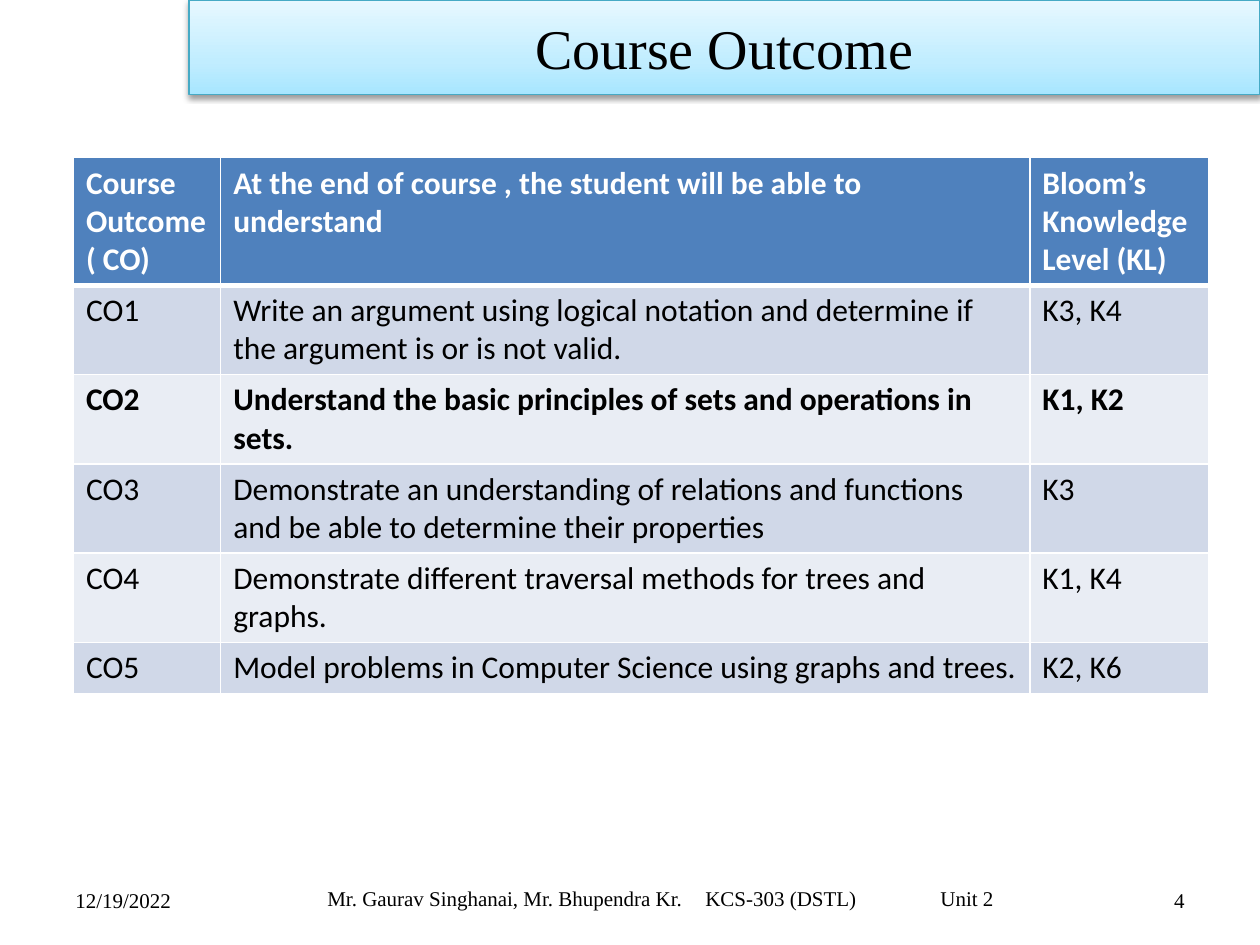
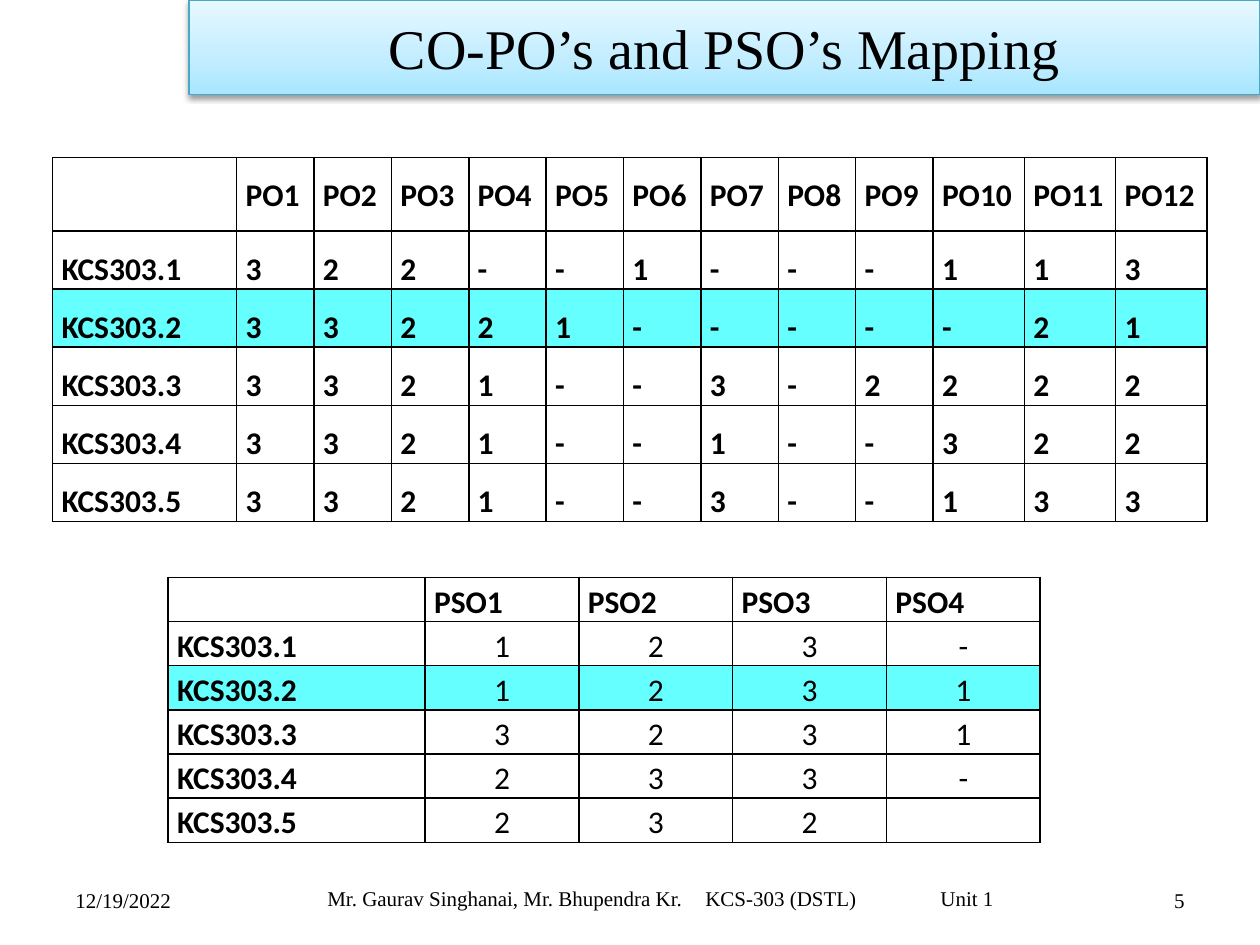
from pptx import Presentation
from pptx import util as u
from pptx.dml.color import RGBColor
from pptx.enum import shapes, text
from pptx.oxml import parse_xml
from pptx.oxml.ns import nsdecls, qn

Cm, Pt = u.Cm, u.Pt
ALIGN, ANCHOR = text.PP_ALIGN, text.MSO_ANCHOR

SERIF, SANS = "Times New Roman", "Calibri"
BLACK, WHITE = "000000", "FFFFFF"
HEADER_BLUE, BAND_DARK, BAND_LIGHT = "4F81BD", "D0D8E8", "E9EDF4"
HIGHLIGHT = "66FFFF"
TITLE_LINE = "46AAC5"
TITLE_STOPS = [(0, "A7E6FF"), (35, "C1EDFF"), (100, "E7F8FF")]
FOOTER_TABS = (7.62, 12.36)
DATE = "12/19/2022"
AUTHORS, COURSE = "Mr. Gaurav Singhanai, Mr. Bhupendra Kr.", "KCS-303 (DSTL)"

OUTCOMES = [
    ("Course Outcome ( CO)",
     "At the end of course , the student will be able to understand",
     "Bloom’s Knowledge Level (KL)"),
    ("CO1", "Write an argument using logical notation and determine if the "
     "argument is or is not valid.", "K3, K4"),
    ("CO2", "Understand the basic principles of sets and operations in sets.",
     "K1, K2"),
    ("CO3", "Demonstrate an understanding of relations and functions and be "
     "able to determine their properties", "K3"),
    ("CO4", "Demonstrate different traversal methods for trees and graphs.",
     "K1, K4"),
    ("CO5", "Model problems in Computer Science using graphs and trees.",
     "K2, K6"),
]
PO_LEVELS = ["322--1---113", "33221-----21", "3321--3-2222",
             "3321--1--322", "3321--3--133"]
PSO_LEVELS = ["123-", "1231", "3231", "233-", "232 "]


def rgb(value):
    return RGBColor.from_string(value)


def mapping(prefix, levels):
    """Rows of a mapping table, one character of each string per cell."""
    header = [""] + [f"{prefix}{n}" for n in range(1, len(levels[0]) + 1)]
    body = [[f"KCS303.{n}"] + [level.strip() for level in row]
            for n, row in enumerate(levels, 1)]
    return [header] + body


class Deck:
    def __init__(self):
        self.prs = Presentation()
        self.prs.slide_width, self.prs.slide_height = Cm(25.4), Cm(19.05)
        self.s = None

    def put_text(self, tf, content, size, font=SERIF, color=BLACK, bold=False,
                 align=ALIGN.LEFT):
        p = tf.paragraphs[0]
        p.text = content
        p.alignment = align
        for r in p.runs:
            r.font.size, r.font.name, r.font.bold = Pt(size), font, bold
            r.font.color.rgb = rgb(color)
        return p

    def label(self, x, y, w, content, align=ALIGN.LEFT):
        tf = self.s.shapes.add_textbox(Cm(x), Cm(y), Cm(w), Cm(1.01)).text_frame
        tf.word_wrap = True
        tf.vertical_anchor = ANCHOR.MIDDLE
        self.put_text(tf, content, 12, align=align)
        return tf

    def title(self, content):
        sp = self.s.shapes.add_shape(shapes.MSO_SHAPE.RECTANGLE,
                                     Cm(3.81), 0, Cm(21.59), Cm(1.91))
        sp.fill.gradient()
        sp.fill.gradient_angle = 90
        stops = "".join(f'<a:gs pos="{pos * 1000}"><a:srgbClr val="{c}"/></a:gs>'
                        for pos, c in TITLE_STOPS)
        grad = sp._element.spPr.find(qn("a:gradFill"))
        grad.replace(grad.find(qn("a:gsLst")),
                     parse_xml(f'<a:gsLst {nsdecls("a")}>{stops}</a:gsLst>'))
        sp.line.color.rgb, sp.line.width = rgb(TITLE_LINE), Pt(0.75)
        sp.shadow.inherit = False
        sp._element.spPr.find(qn("a:effectLst")).append(parse_xml(
            f'<a:outerShdw {nsdecls("a")} blurRad="40000" dist="20000" '
            f'dir="5400000" rotWithShape="0"><a:srgbClr val="{BLACK}">'
            '<a:alpha val="38000"/></a:srgbClr></a:outerShdw>'))
        sp.text_frame.vertical_anchor = ANCHOR.MIDDLE
        self.put_text(sp.text_frame, content, 32, align=ALIGN.CENTER)

    def footer(self, unit):
        tf = self.label(6.35, 17.6, 13.97, f"{AUTHORS}\t{COURSE}\t{unit}")
        tf.margin_right = 0
        stops = "".join(f'<a:tab pos="{Cm(x)}" algn="l"/>' for x in FOOTER_TABS)
        tf.paragraphs[0]._p.get_or_add_pPr().append(
            parse_xml(f'<a:tabLst {nsdecls("a")}>{stops}</a:tabLst>'))

    def slide(self, title, unit, number):
        self.s = self.prs.slides.add_slide(self.prs.slide_layouts[6])
        self.label(1.27, 17.65, 5.93, DATE)
        self.label(18.2, 17.65, 5.93, str(number), ALIGN.RIGHT)
        self.title(title)
        self.footer(unit)

    def borders(self, cell, color, **widths):
        """Draw the sides L, R, T and B, each with its width in points."""
        tcPr = cell._tc.get_or_add_tcPr()
        for side in "LRTB":
            tcPr.append(parse_xml(
                f'<a:ln{side} {nsdecls("a")} w="{Pt(widths.get(side, 1))}">'
                f'<a:solidFill><a:srgbClr val="{color}"/></a:solidFill>'
                f'</a:ln{side}>'))

    def table(self, x, y, cols, heights, rows, style):
        """style(row, column) gives fill, text format and spacing of a cell."""
        tbl = self.s.shapes.add_table(len(rows), len(cols), Cm(x), Cm(y),
                                      Cm(sum(cols)), Cm(sum(heights))).table
        tbl.first_row = tbl.horz_banding = False
        for column, w in zip(tbl.columns, cols):
            column.width = Cm(w)
        for row, h in zip(tbl.rows, heights):
            row.height = Cm(h)
        for i, row in enumerate(rows):
            for j, content in enumerate(row):
                cell, look = tbl.cell(i, j), style(i, j)
                self.borders(cell, look["border"], **look.get("sides", {}))
                if look["fill"]:
                    cell.fill.solid()
                    cell.fill.fore_color.rgb = rgb(look["fill"])
                else:
                    cell.fill.background()
                p = self.put_text(cell.text_frame, content, 18, SANS,
                                  **look["text"])
                if "spacing" in look:
                    cell.margin_left = cell.margin_right = Cm(0.18)
                    cell.margin_top = cell.margin_bottom = 0
                    p.line_spacing, p.space_after = look["spacing"], Pt(10)


def outcome_style(i, j):
    fill = HEADER_BLUE if i == 0 else BAND_DARK if i % 2 else BAND_LIGHT
    sides = {0: {"B": 3}, 1: {"T": 3}}.get(i, {})
    return dict(fill=fill, border=WHITE, sides=sides,
                text=dict(color=BLACK if i else WHITE, bold=i in (0, 2)))


def po_style(i, j):
    return dict(fill=HIGHLIGHT if i == 2 else None, border=BLACK, spacing=1.5,
                text=dict(bold=True))


def pso_style(i, j):
    is_level = i > 0 and j > 0
    align = ALIGN.CENTER if is_level else ALIGN.LEFT
    return dict(po_style(i, j), spacing=1.15,
                text=dict(bold=not is_level, align=align))


def main():
    deck = Deck()
    deck.slide("Course Outcome", "Unit 2", 4)
    deck.table(1.48, 3.18, [2.97, 16.31, 3.6], [2.57] + [1.8] * 4 + [1.04],
               OUTCOMES, outcome_style)

    deck.slide("CO-PO’s and PSO’s Mapping", "Unit 1", 5)
    deck.table(1.06, 3.18, [3.71] + [1.56] * 9 + [1.84] * 3,
               [1.48] + [1.17] * 5, mapping("PO", PO_LEVELS), po_style)
    deck.table(3.39, 11.64, [5.18] + [3.1] * 4, [0.89] * 6,
               mapping("PSO", PSO_LEVELS), pso_style)
    deck.prs.save("out.pptx")


if __name__ == "__main__":
    main()
